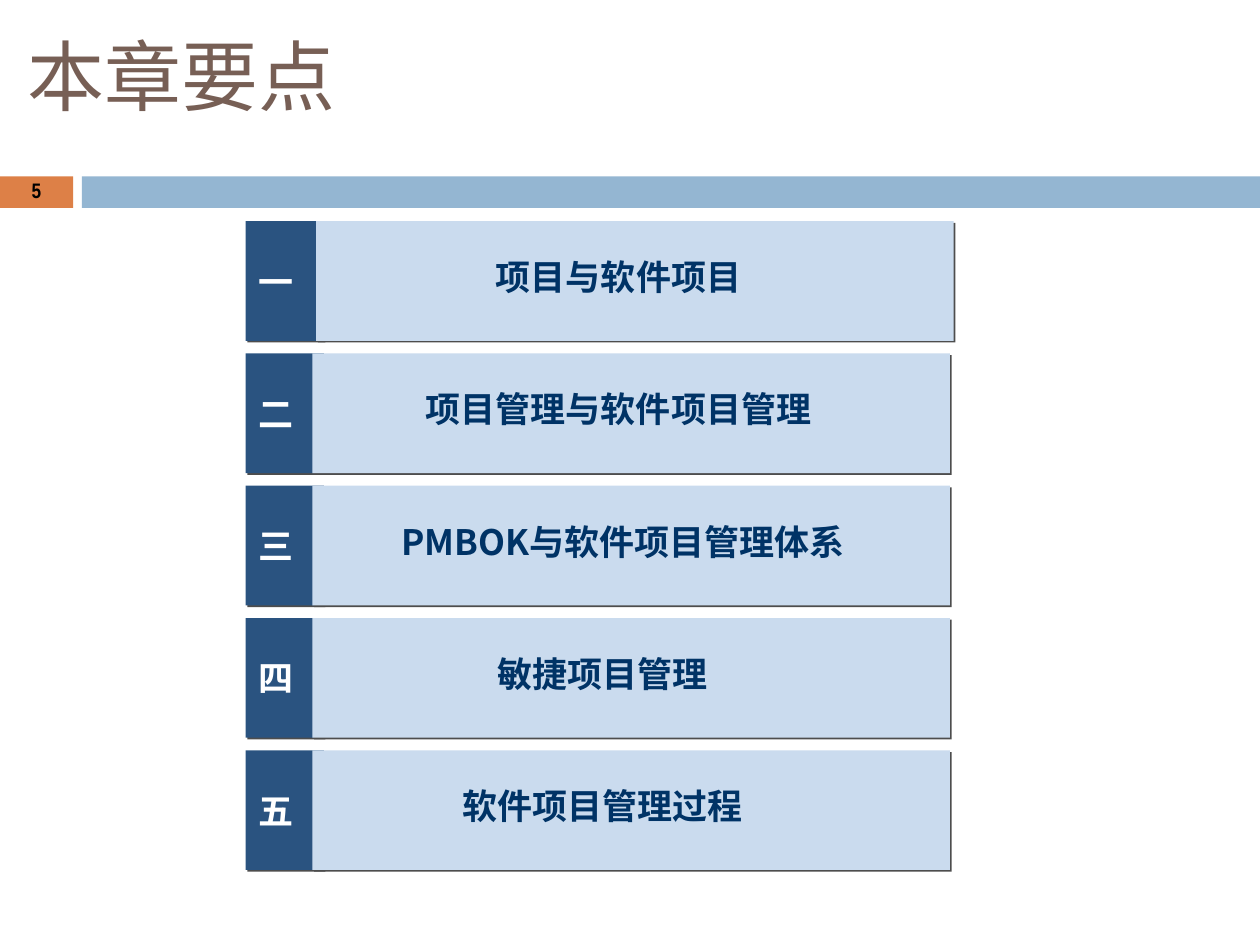
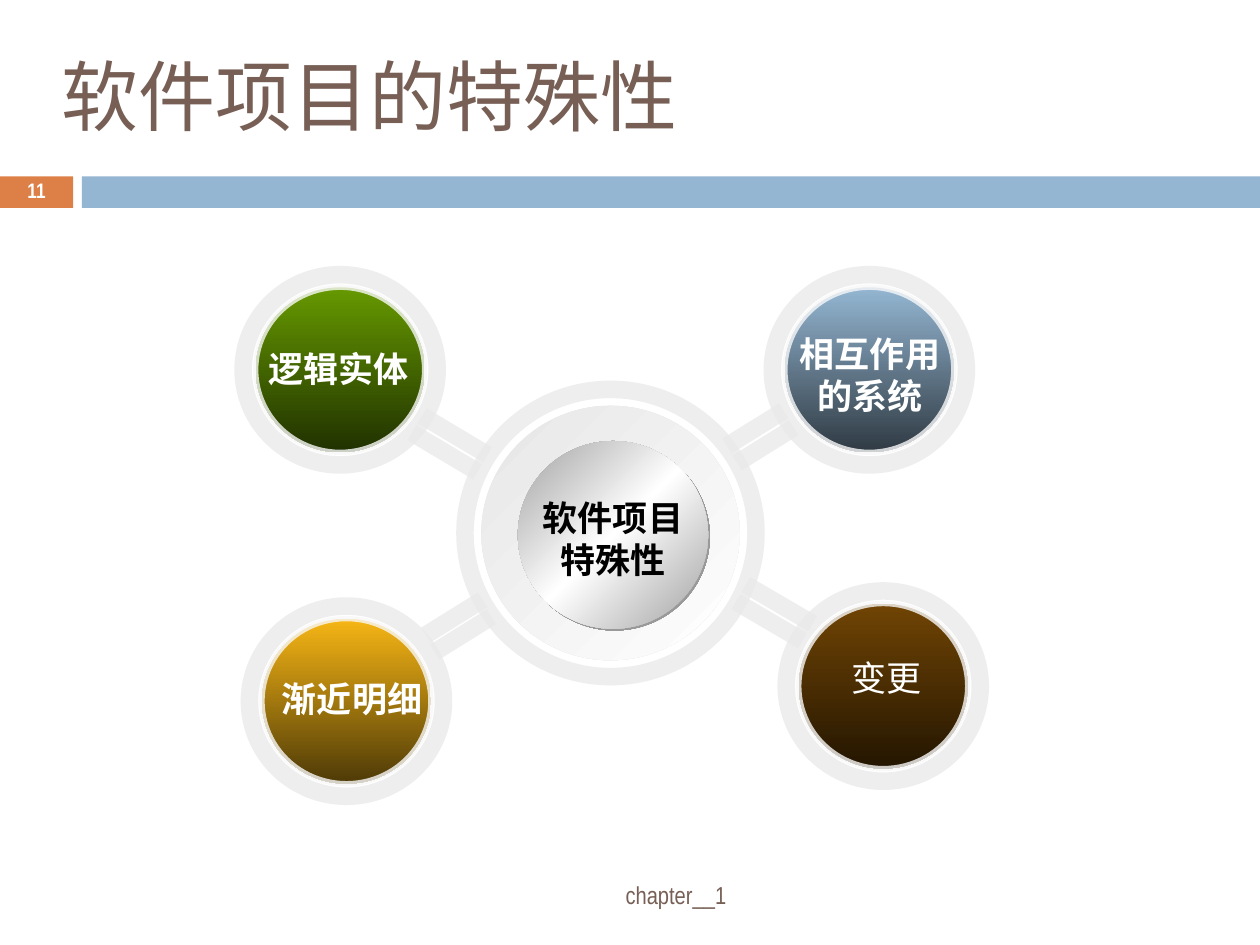
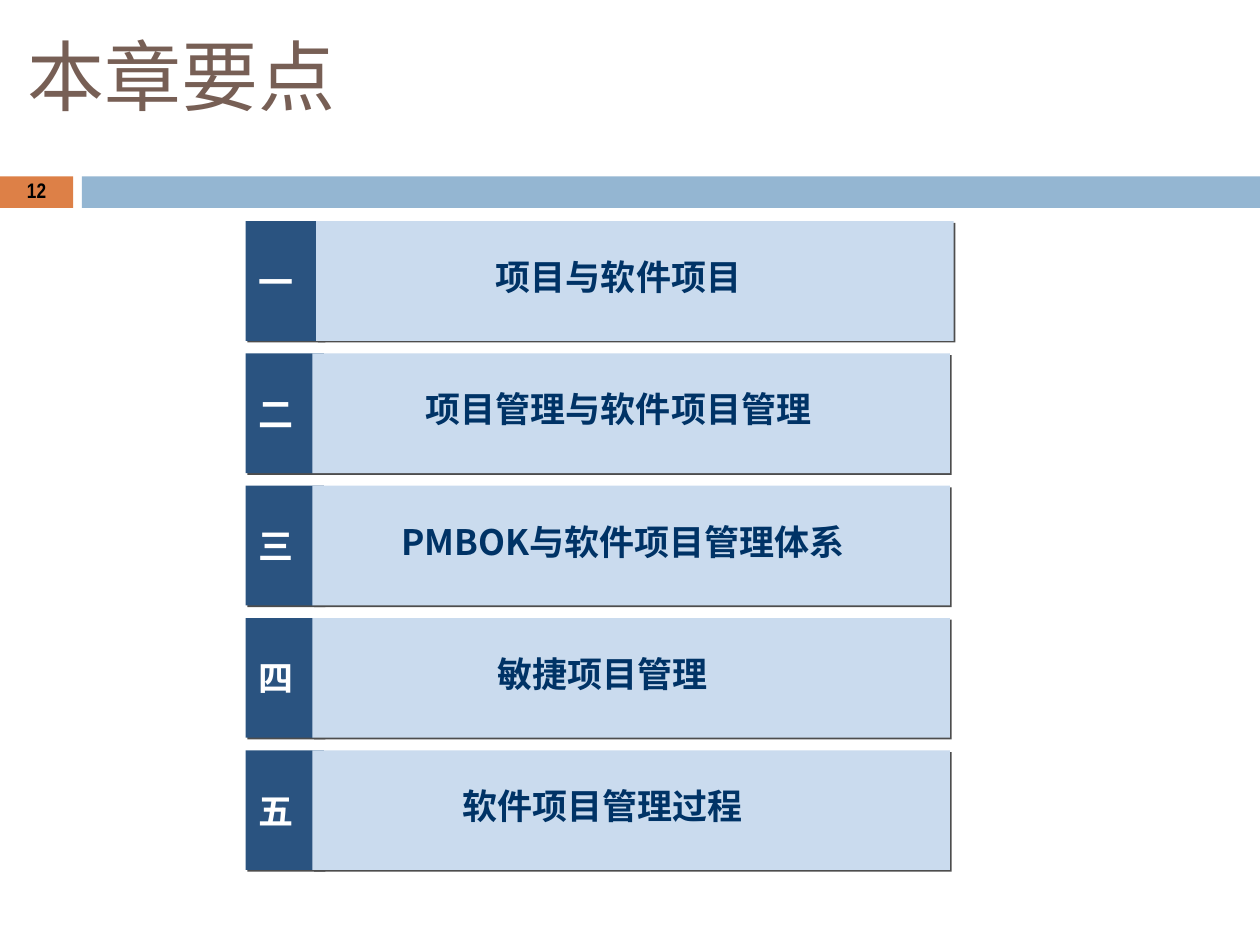
from dataclasses import dataclass

from lxml.etree import SubElement
from pptx import Presentation
from pptx.dml.color import RGBColor
from pptx.enum.shapes import MSO_CONNECTOR, MSO_SHAPE
from pptx.enum.text import MSO_ANCHOR, MSO_AUTO_SIZE, PP_ALIGN
from pptx.oxml.ns import qn
from pptx.util import Inches, Pt

# The slide is a grid of 100 columns by 75 rows
WIDTH, HEIGHT = Inches(10), Inches(7.5)
COLUMN, ROW = WIDTH / 100, HEIGHT / 75

WHITE = RGBColor(0xFF, 0xFF, 0xFF)
BLACK = RGBColor(0x00, 0x00, 0x00)
BROWN = RGBColor(0x77, 0x5F, 0x55)
ORANGE = RGBColor(0xDD, 0x80, 0x47)
SKY = RGBColor(0x94, 0xB6, 0xD2)
NAVY = RGBColor(0x2A, 0x53, 0x80)
PALE_BLUE = RGBColor(0xCA, 0xDB, 0xEE)
INK_BLUE = RGBColor(0x00, 0x33, 0x66)
CARD_SHADOW = RGBColor(0x4D, 0x4D, 0x4D)
HUB_SHADOW = RGBColor(0x99, 0x99, 0x99)
RING_GREY = RGBColor(0xEA, 0xEA, 0xEA)
BALL_EDGE = RGBColor(0xF8, 0xF8, 0xF8)
HUB_PLATE = (RGBColor(0xE6, 0xE6, 0xE6), WHITE)
SILVER = RGBColor(0xA1, 0xA1, 0xA1)
HUB_CORE = (SILVER, WHITE, SILVER)
GREENS = (RGBColor(0x66, 0x99, 0x00), RGBColor(0x20, 0x31, 0x00))
BLUES = (SKY, RGBColor(0x2F, 0x3A, 0x43))
GOLDS = (RGBColor(0xF7, 0xB6, 0x15), RGBColor(0x4E, 0x3A, 0x07))
BROWNS = (RGBColor(0x70, 0x44, 0x04), RGBColor(0x24, 0x16, 0x01))

HEADING_FONT = "Noto Sans CJK SC"
DIAGRAM_FONT = "Noto Sans CJK JP"
SMALL_FONT = "Arial Narrow"


@dataclass(frozen=True)
class Box:
    left: float
    top: float
    width: float
    height: float

    def area(self, across, down, width, height):
        """A box measured from this box's top left corner."""
        return Box(self.left + across, self.top + down, width, height)

    def inset(self, margin):
        return self.area(margin, margin, self.width - 2 * margin, self.height - 2 * margin)

    def emu(self):
        return (round(self.left * COLUMN), round(self.top * ROW),
                round(self.width * COLUMN), round(self.height * ROW))


PAGE = Box(0, 0, 100, 75)


# Shared helpers

def write(shape, text, size, color, font, bold=False, align=PP_ALIGN.CENTER,
          anchor=MSO_ANCHOR.MIDDLE):
    frame = shape.text_frame
    frame.word_wrap = True
    frame.auto_size = MSO_AUTO_SIZE.NONE
    frame.vertical_anchor = anchor
    para = frame.paragraphs[0]
    para.alignment = align
    span = para.add_run()
    span.text = text
    span.font.size = Pt(size)
    span.font.bold = bold
    span.font.color.rgb = color
    span.font.name = font
    SubElement(span.font._element, qn("a:ea"), typeface=font)
    return para


def add_text(page, box, *args, **style):
    return write(page.shapes.add_textbox(*box.emu()), *args, **style)


def add_plain(page, kind, box, color=None):
    shape = page.shapes.add_shape(kind, *box.emu())
    shape.shadow.inherit = False
    shape.line.fill.background()
    if color is None:
        shape.fill.background()
    else:
        shape.fill.solid()
        shape.fill.fore_color.rgb = color
    return shape


def cast_shadow(shape, color):
    effects = shape._element.spPr.find(qn("a:effectLst"))
    shadow = SubElement(effects, qn("a:outerShdw"), blurRad="0", dist=str(Pt(1.4)),
                        dir=str(45 * 60000), algn="ctr", rotWithShape="0")
    SubElement(shadow, qn("a:srgbClr"), val=str(color))


def shade(shape, colors, angle):
    shape.fill.gradient()
    gradient = shape._element.spPr.find(qn("a:gradFill"))
    for child in list(gradient):
        gradient.remove(child)
    stops = SubElement(gradient, qn("a:gsLst"))
    for index, color in enumerate(colors):
        position = index * 100000 // (len(colors) - 1)
        stop = SubElement(stops, qn("a:gs"), pos=str(position))
        SubElement(stop, qn("a:srgbClr"), val=str(color))
    SubElement(gradient, qn("a:lin"), ang=str(angle * 60000), scaled="0")


def outline(shape, color, width):
    """A line at 80 % opacity."""
    shape.line.color.rgb = color
    shape.line.width = Pt(width)
    tint = shape.line._ln.find(qn("a:solidFill")).find(qn("a:srgbClr"))
    SubElement(tint, qn("a:alpha"), val="80000")


def add_page(deck, title, title_box, title_anchor, number, number_color):
    page = deck.slides.add_slide(deck.slide_layouts[5])
    # Bands under the title
    band = PAGE.area(0, 14, PAGE.width, 2.5)
    add_plain(page, MSO_SHAPE.RECTANGLE, band.area(0, 0, 5.8, band.height), ORANGE)
    add_plain(page, MSO_SHAPE.RECTANGLE, band.area(6.5, 0, 93.5, band.height), SKY)
    # Title
    heading = page.shapes.title
    heading.left, heading.top, heading.width, heading.height = title_box.emu()
    write(heading, title, 44, BROWN, HEADING_FONT, align=PP_ALIGN.LEFT, anchor=title_anchor)
    # Slide number
    para = add_text(page, band.area(0, -0.1, 5.8, 2.7), str(number), 12,
                    number_color, SMALL_FONT, bold=True)
    para.line_spacing = 0.8
    return page


# Chapter outline

# numeral, topic, left of the bar, left and width of the topic
TOPICS = [
    ("一", "项目与软件项目", 5.6, 5.6, 48),
    ("二", "项目管理与软件项目管理", 5.3, 5.6, 48),
    ("三", "PMBOK与软件项目管理体系", 5.3, 6.3, 47.3),
    ("四", "敏捷项目管理", 5.3, 6.3, 44.1),
    ("五", "软件项目管理过程", 5.3, 6.3, 44.1),
]


def draw_topic(page, box, numeral, topic, bar_left, topic_left, topic_width):
    tab = add_plain(page, MSO_SHAPE.RECTANGLE, box.area(0, 0, 6.2, box.height), NAVY)
    cast_shadow(tab, CARD_SHADOW)
    write(tab, numeral, 20, WHITE, HEADING_FONT, bold=True, align=PP_ALIGN.LEFT)
    bar = add_plain(page, MSO_SHAPE.RECTANGLE,
                    box.area(bar_left, 0, 50.6, box.height), PALE_BLUE)
    cast_shadow(bar, CARD_SHADOW)
    label = add_plain(page, MSO_SHAPE.ROUNDED_RECTANGLE,
                      box.area(topic_left, 1, topic_width, 6.8))
    write(label, topic, 20, INK_BLUE, HEADING_FONT, bold=True)


def build_outline(deck, number):
    page = add_page(deck, "本章要点", PAGE.area(1.2, 1.8, 85, 12.5),
                    MSO_ANCHOR.TOP, number, BLACK)
    rows = PAGE.area(19.5, 17.55, 56.2, 51.5)
    pitch = 10.5
    for index, topic in enumerate(TOPICS):
        draw_topic(page, rows.area(0, index * pitch, rows.width, 9.5), *topic)


# Hub and satellites

# ring position, colours, label, label offset, label width and height, bold
SATELLITES = [
    (43.1, 25.1, BROWNS, "变更", 1.5, 4.7, 12.9, 4.4, False),
    (0.5, 26.3, GOLDS, "渐近明细", 1.5, 5.2, 13.3, 4.4, True),
    (0, 0, GREENS, "逻辑实体", 0.6, 5.3, 13.9, 4.4, True),
    (42, 0, BLUES, "相互作用的系统", 0.8, 4.1, 13.9, 7.7, True),
]
# start, reach, and sideways step to the second line of the pair
SPOKES = [
    (14.5, 28.6, 4.5, -2.8, 0.7),
    (38.4, 13.6, 4.5, -2.8, 0.8),
    (14.2, 11.2, 5.2, 3.1, -0.8),
    (39.9, 24.6, 5.3, 3.1, -0.8),
]


def draw_ring(page, box):
    outline(add_plain(page, MSO_SHAPE.OVAL, box), RING_GREY, 10)


def draw_hub(page, box):
    plate = add_plain(page, MSO_SHAPE.OVAL, box.inset(1.3))
    shade(plate, HUB_PLATE, 45)
    core = add_plain(page, MSO_SHAPE.OVAL, box.area(4.2, 4.1, 15.1, 14.9))
    shade(core, HUB_CORE, 45)
    cast_shadow(core, HUB_SHADOW)
    add_text(page, box.area(4, 8, 15.5, 7.7), "软件项目特殊性", 20, BLACK,
             DIAGRAM_FONT, bold=True, anchor=MSO_ANCHOR.TOP)
    draw_ring(page, box)


def draw_satellite(page, box, colors, label, across, down, width, height, bold):
    ball = add_plain(page, MSO_SHAPE.OVAL, box.inset(1))
    shade(ball, colors, 90)
    outline(ball, BALL_EDGE, 3)
    add_text(page, box.area(across, down, width, height), label, 20, WHITE,
             DIAGRAM_FONT, bold=bold, anchor=MSO_ANCHOR.TOP)
    draw_ring(page, box)


def draw_spoke(page, box, across, down, reach, rise, step):
    for pair in range(2):
        start = box.area(across + pair * step, down + pair * 1.35, 0, 0)
        end = start.area(reach, rise, 0, 0)
        spoke = page.shapes.add_connector(MSO_CONNECTOR.STRAIGHT,
                                          *start.emu()[:2], *end.emu()[:2])
        outline(spoke, RING_GREY, 10)
        SubElement(spoke._element.spPr, qn("a:effectLst"))


def build_features(deck, number):
    page = add_page(deck, "软件项目的特殊性", PAGE.area(3.9, 2.1, 89.2, 10.8),
                    MSO_ANCHOR.MIDDLE, number, WHITE)
    diagram = PAGE.area(19.3, 21.8, 58.5, 41.4)
    draw_hub(page, diagram.area(17.6, 9.1, 23.1, 22.8))
    for across, down, *details in SATELLITES:
        draw_satellite(page, diagram.area(across, down, 15.4, 15.1), *details)
    for spoke in SPOKES:
        draw_spoke(page, diagram, *spoke)
    # Footer
    add_text(page, PAGE.area(24, 69, 59.3, 4), "chapter__1", 14, BROWN, SMALL_FONT)


def main():
    deck = Presentation()
    deck.slide_width, deck.slide_height = WIDTH, HEIGHT
    build_outline(deck, 5)
    build_features(deck, 11)
    build_outline(deck, 12)
    deck.save("out.pptx")


if __name__ == "__main__":
    main()
